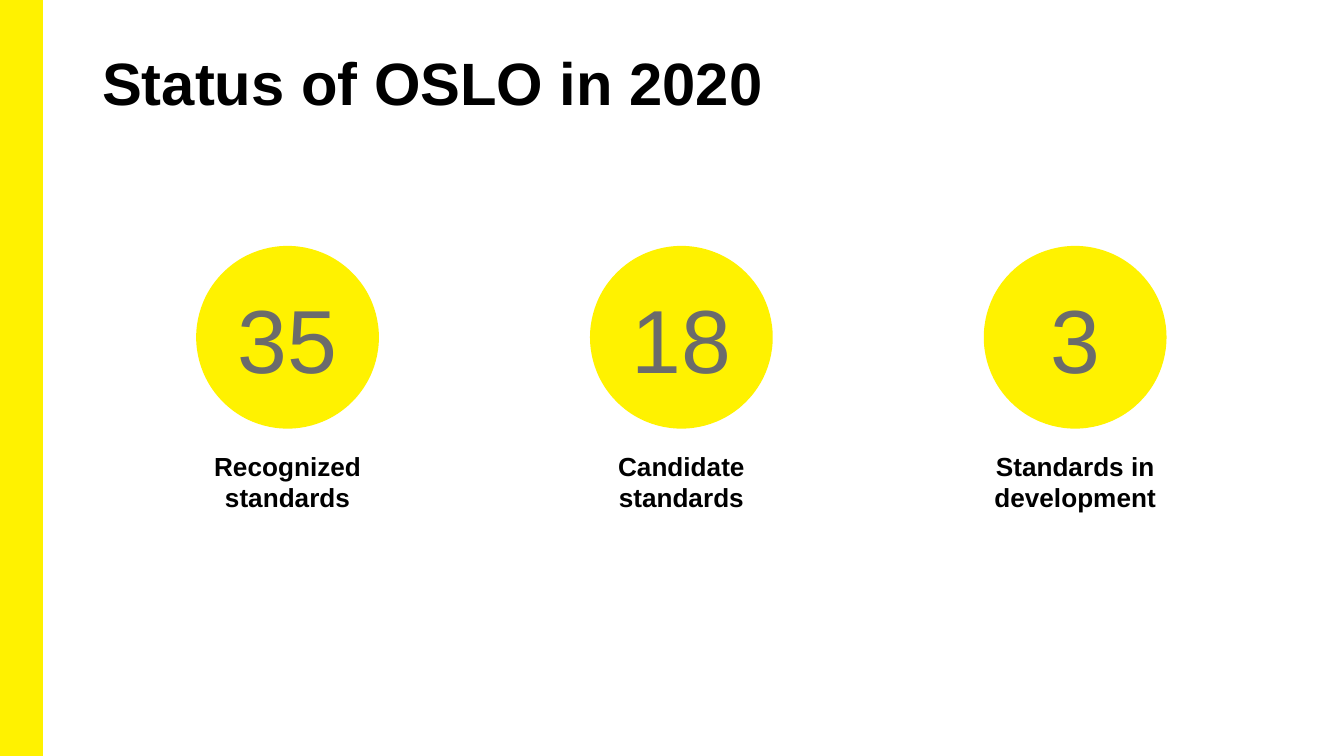
"""Build the slide showing the status of OSLO standards in 2020."""
from dataclasses import dataclass

from pptx import Presentation
from pptx.dml.color import RGBColor
from pptx.enum.shapes import MSO_SHAPE
from pptx.enum.text import MSO_ANCHOR, MSO_AUTO_SIZE, PP_ALIGN
from pptx.util import Inches, Pt

RECT, OVAL = MSO_SHAPE.RECTANGLE, MSO_SHAPE.OVAL
TOP, MIDDLE = MSO_ANCHOR.TOP, MSO_ANCHOR.MIDDLE
LEFT, CENTER = PP_ALIGN.LEFT, PP_ALIGN.CENTER
NO_FIT = MSO_AUTO_SIZE.NONE
GROW = MSO_AUTO_SIZE.SHAPE_TO_FIT_TEXT


@dataclass(frozen=True)
class Theme:
    font: str = "Arial"
    yellow: RGBColor = RGBColor(0xFF, 0xF2, 0x00)
    gray: RGBColor = RGBColor(0x6B, 0x6B, 0x6B)
    black: RGBColor = RGBColor(0, 0, 0)
    title: Pt = Pt(32)
    number: Pt = Pt(48)
    label: Pt = Pt(14)


theme = Theme()


def add_yellow_shape(s, kind, x, y, w, h):
    sp = s.shapes.add_shape(kind, Inches(x), Inches(y), Inches(w), Inches(h))
    sp.shadow.inherit = False
    sp.fill.solid()
    sp.fill.fore_color.rgb = theme.yellow
    sp.line.fill.background()
    return sp


def write(tf, text, size, color, align, anchor, bold=False):
    tf.word_wrap = True
    tf.vertical_anchor = anchor
    p = tf.paragraphs[0]
    p.text = text
    p.alignment = align
    p.font.name = theme.font
    p.font.size = size
    p.font.bold = bold
    p.font.color.rgb = color


slide_width = 10
slide_height = slide_width * 9 / 16

prs = Presentation()
prs.slide_width, prs.slide_height = Inches(slide_width), Inches(slide_height)
s = prs.slides.add_slide(prs.slide_layouts[5])

bar = add_yellow_shape(s, RECT, 0, 0, 0.31, slide_height)
bar.line.color.rgb = theme.yellow
bar.line.width = Pt(1)

title = s.shapes.title
title.left, title.top = Inches(0.69), Inches(0.3)
title.width, title.height = Inches(8.62), Inches(0.81)
tf = title.text_frame
tf.auto_size = NO_FIT
tf.margin_left = tf.margin_right = Inches(0.07)
tf.margin_top = tf.margin_bottom = Inches(0.04)
write(tf, "Status of OSLO in 2020", theme.title, theme.black, LEFT, TOP, True)

stats = [
    ("35", "Recognized standards"),
    ("18", "Candidate standards"),
    ("3", "Standards in development"),
]
first_center, pitch = 2.14, 2.93
diameter, label_width = 1.36, 1.62

for i, (number, label) in enumerate(stats):
    center = first_center + i * pitch
    circle = add_yellow_shape(s, OVAL, center - diameter / 2, 1.83, diameter, diameter)
    write(circle.text_frame, number, theme.number, theme.gray, CENTER, MIDDLE)

    box = s.shapes.add_textbox(Inches(center - label_width / 2), Inches(3.3),
                               Inches(label_width), Inches(0.57))
    box.text_frame.auto_size = GROW
    write(box.text_frame, label, theme.label, theme.black, CENTER, TOP, True)

prs.save("out.pptx")
